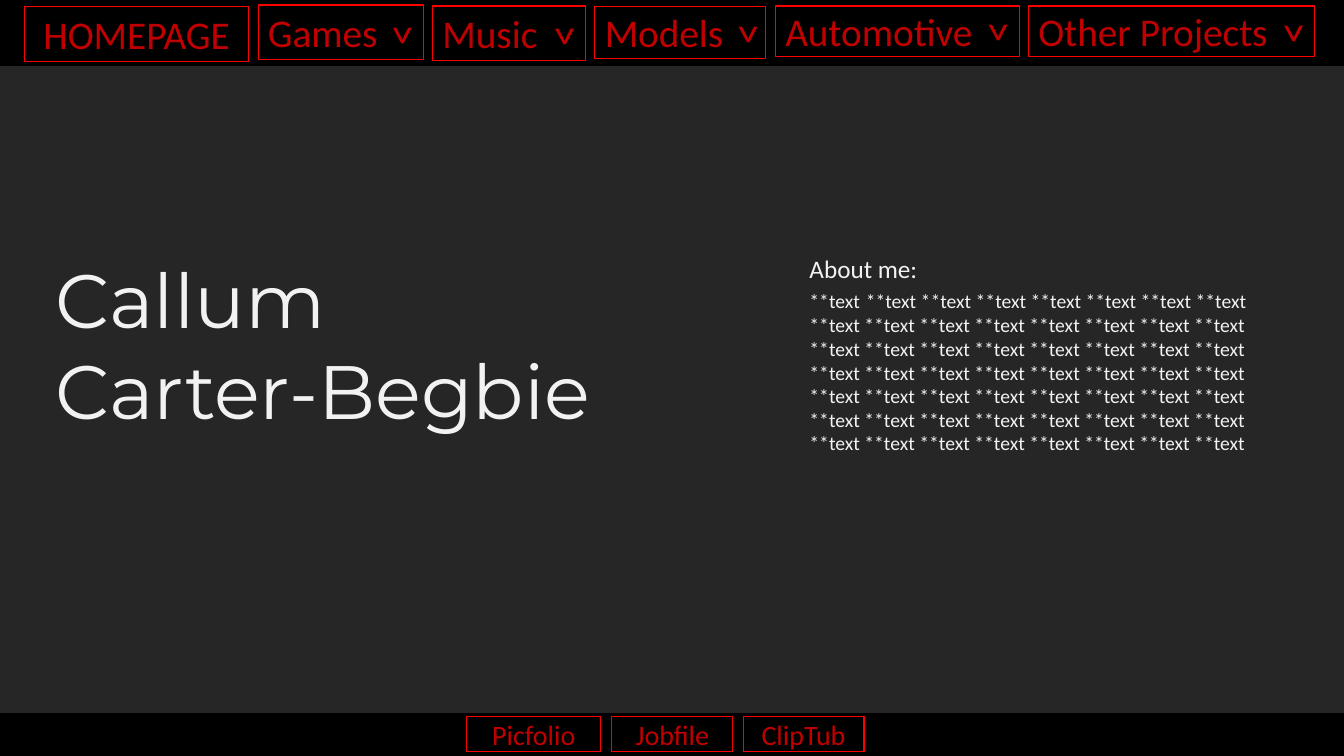
from pptx import Presentation
from pptx.dml.color import RGBColor
from pptx.enum.shapes import MSO_SHAPE
from pptx.enum.text import MSO_ANCHOR, MSO_AUTO_SIZE, PP_ALIGN
from pptx.util import Inches, Pt

BLACK = RGBColor(0x00, 0x00, 0x00)
CHARCOAL = RGBColor(0x26, 0x26, 0x26)
OFF_WHITE = RGBColor(0xF2, 0xF2, 0xF2)
RED = RGBColor(0xFF, 0x00, 0x00)
DARK_RED = RGBColor(0xC0, 0x00, 0x00)


class Page:
    body_font = "Calibri"
    title_font = "Montserrat"

    def __init__(self, slide):
        self.slide = slide
        slide.background.fill.solid()
        slide.background.fill.fore_color.rgb = CHARCOAL

    def style(self, paragraph, size, color, font=body_font):
        paragraph.font.size = Pt(size)
        paragraph.font.name = font
        paragraph.font.color.rgb = color

    def rectangle(self, left, top, width, height, line, weight):
        shape = self.slide.shapes.add_shape(
            MSO_SHAPE.RECTANGLE, Inches(left), Inches(top), Inches(width), Inches(height))
        shape.shadow.inherit = False
        shape.line.color.rgb = line
        shape.line.width = Pt(weight)
        return shape

    def bar(self, top, height):
        shape = self.rectangle(0, top, 13.33, height, BLACK, 1)
        shape.fill.solid()
        shape.fill.fore_color.rgb = BLACK

    def button(self, label, left, top, width, height, size, align=PP_ALIGN.CENTER):
        shape = self.rectangle(left, top, width, height, RED, 0.75)
        shape.fill.background()
        frame = shape.text_frame
        frame.word_wrap = True
        frame.vertical_anchor = MSO_ANCHOR.MIDDLE
        paragraph = frame.paragraphs[0]
        paragraph.text = label
        paragraph.alignment = align
        self.style(paragraph, size, DARK_RED)

    def text_box(self, left, top, width, height):
        box = self.slide.shapes.add_textbox(
            Inches(left), Inches(top), Inches(width), Inches(height))
        box.text_frame.word_wrap = True
        box.text_frame.auto_size = MSO_AUTO_SIZE.SHAPE_TO_FIT_TEXT
        return box

    def title(self, text, left, top, width, height):
        paragraph = self.text_box(left, top, width, height).text_frame.paragraphs[0]
        paragraph.text = text
        self.style(paragraph, 54, OFF_WHITE, self.title_font)

    def about(self, heading, words, left, top, width, height):
        paragraph = self.text_box(left, top, width, height).text_frame.paragraphs[0]
        self.style(paragraph, 18, OFF_WHITE)
        paragraph.add_run().text = heading
        paragraph.add_line_break()
        for text, size in ((words[0], 14), (" ", 18), (" ".join(words[1:]), 14)):
            run = paragraph.add_run()
            run.text = text
            run.font.size = Pt(size)

    def chevron(self, left, top):
        box = self.text_box(left, top, 0.37, 0.64)
        box.rotation = 180
        paragraph = box.text_frame.paragraphs[0]
        paragraph.text = "^"
        self.style(paragraph, 32, DARK_RED)


presentation = Presentation()
presentation.slide_width = Inches(13.33)
presentation.slide_height = Inches(7.5)
page = Page(presentation.slides.add_slide(presentation.slide_layouts[6]))

page.bar(0, 0.65)
page.bar(7.08, 0.41)
page.title("Callum\vCarter-Begbie", 0.45, 2.46, 6.02, 1.92)
page.about("About me:", ["**text"] * 56, 7.93, 2.46, 4.95, 2.12)

page.button("HOMEPAGE", 0.24, 0.06, 2.23, 0.55, 28)
menus = [
    ("Games", 2.56, 0.05, 1.64, 0.54, 3.83, -0.01),
    ("Music", 4.29, 0.06, 1.52, 0.54, 5.44, 0),
    ("Models", 5.9, 0.06, 1.69, 0.52, 7.26, -0.02),
    ("Automotive", 7.69, 0.06, 2.42, 0.5, 9.74, -0.04),
    ("Other Projects", 10.2, 0.06, 2.84, 0.5, 12.67, -0.03),
]
for label, left, top, width, height, chevron_left, chevron_top in menus:
    page.chevron(chevron_left, chevron_top)
    page.button(label, left, top, width, height, 28, PP_ALIGN.LEFT)

social_links = [("Picfolio", 4.63, 1.33), ("Jobfile", 6.07, 1.2), ("ClipTub", 7.37, 1.2)]
for label, left, width in social_links:
    page.button(label, left, 7.11, width, 0.35, 20)

presentation.save("out.pptx")
